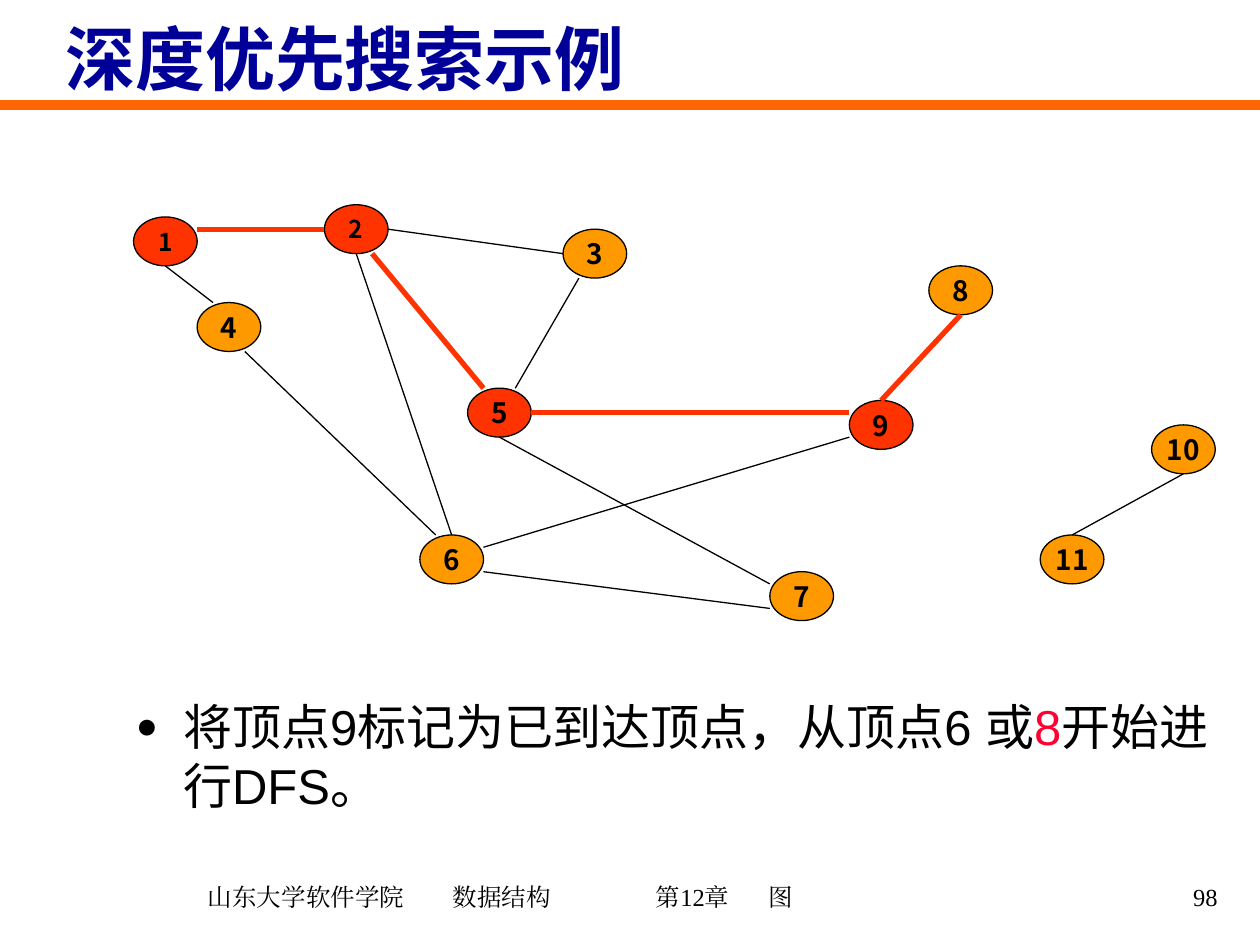
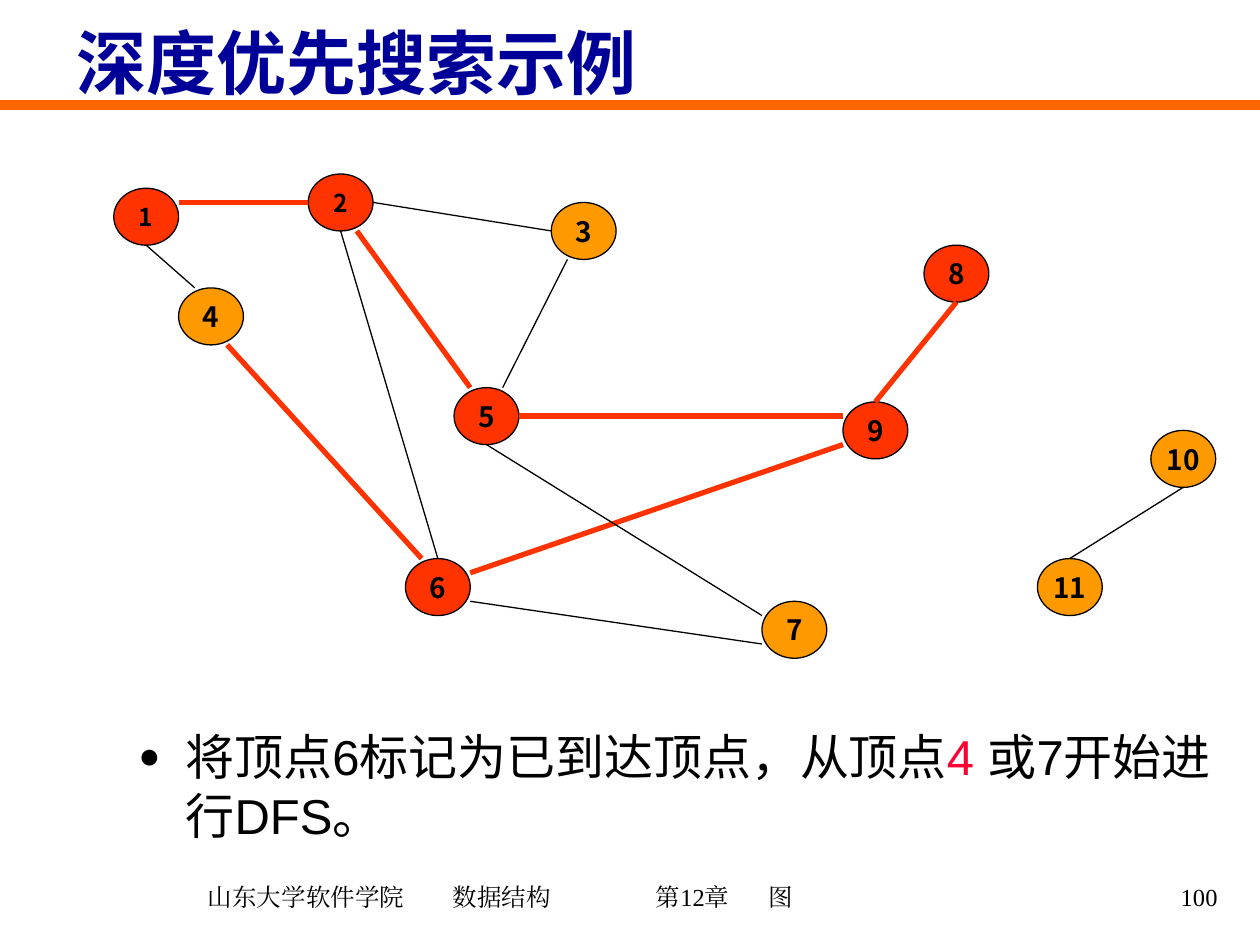
import pptx
import pptx.util
import pptx.dml.color
import pptx.enum.shapes
import pptx.enum.text
import pptx.oxml
import pptx.oxml.ns

Pt = pptx.util.Pt
ALIGN = pptx.enum.text.PP_ALIGN
ANCHOR = pptx.enum.text.MSO_ANCHOR
C = {k: pptx.dml.color.RGBColor.from_string(v) for k, v in {
    "text": "000000", "title": "000099", "band": "FF6600",
    "visited": "FF3300", "open": "FF9900", "next": "FF0033"}.items()}
NS = pptx.oxml.ns.nsdecls("a")

BULLET = ('<a:buClr %s><a:srgbClr val="000000"/></a:buClr>',
          '<a:buSzPct %s val="75000"/>', '<a:buFont %s typeface="Arial"/>',
          '<a:buChar %s char="●"/>')

NODES = {1: (0, 1), 2: (12, 0), 3: (27, 2), 4: (4, 8), 5: (21, 15), 6: (18, 27),
         7: (40, 30), 8: (50, 5), 9: (45, 16), 10: (64, 18), 11: (57, 27)}
NODE_SIZE = 4
EDGES = {(1, 2): ((4, 1), (0, 2)), (1, 4): ((2, 4), (1, 0)),
         (2, 3): ((4, 2), (0, 2)), (3, 5): ((1, 4), (3, 0)),
         (2, 5): ((3, 4), (1, 0)), (8, 9): ((2, 4), (2, 0)),
         (9, 6): ((0, 3), (4, 1)), (10, 11): ((2, 4), (2, 0)),
         (4, 6): ((3, 4), (1, 0)), (2, 6): ((2, 4), (2, 0)),
         (5, 7): ((2, 4), (0, 1)), (5, 9): ((4, 2), (0, 1)),
         (6, 7): ((4, 3), (0, 3))}
PATH = {(1, 2), (2, 5), (5, 9), (8, 9)}

SLIDES = [
    {"number": "98", "title": (30.2, 13), "body": (70.6, 394.6),
     "runs": [("将顶点9标记为已到达顶点，从顶点6 或", "text"), ("8", "next"),
              ("开始进行DFS。", "text")],
     "start": (76.3, 117), "unit": (9.09, 6.99),
     "visited": {1, 2, 5, 9}, "path": PATH},
    {"number": "100", "title": (36.7, 15.1), "body": (72, 411.8),
     "runs": [("将顶点6标记为已到达顶点，从顶点", "text"), ("4 ", "next"),
              ("或7开始进行DFS。", "text")],
     "start": (65, 99.4), "unit": (9.26, 8.14),
     "visited": {1, 2, 5, 6, 8, 9}, "path": PATH | {(9, 6), (4, 6)}},
]


def add_text(s, box, runs, size, font, bold=False, anchor=ANCHOR.TOP):
    tf = s.shapes.add_textbox(*[Pt(v) for v in box]).text_frame
    tf.word_wrap = True
    tf.vertical_anchor = anchor
    p = tf.paragraphs[0]
    for text, color in runs:
        r = p.add_run()
        r.text = text
        r.font.size = Pt(size)
        r.font.name = font
        r.font.bold = bold
        r.font.color.rgb = C[color]
        r.font._element.find(pptx.oxml.ns.qn("a:latin")).addnext(
            pptx.oxml.parse_xml(f'<a:ea {NS} typeface="{font}"/>'))
    return tf


def add_line(s, x1, y1, x2, y2, color, width):
    line = s.shapes.add_connector(pptx.enum.shapes.MSO_CONNECTOR.STRAIGHT,
                                  Pt(x1), Pt(y1), Pt(x2), Pt(y2))
    line.line.color.rgb = C[color]
    line.line.width = Pt(width)
    line._element.spPr.append(pptx.oxml.parse_xml(f"<a:effectLst {NS}/>"))


prs = pptx.Presentation()
prs.slide_width, prs.slide_height = Pt(720), Pt(540)

for d in SLIDES:
    s = prs.slides.add_slide(prs.slide_layouts[6])
    add_line(s, 0, 60, 720, 60, "band", 6)

    tf = add_text(s, (54, 494, 465, 36.7),
                  [("山东大学软件学院\t数据结构\t第12章\t图", "text")],
                  14, "Times New Roman", anchor=ANCHOR.MIDDLE)
    tf.margin_left = Pt(64.8)
    stops = "".join(f'<a:tab pos="{Pt(t)}" algn="l"/>' for t in (140, 256, 320.5))
    tf.paragraphs[0]._p.get_or_add_pPr().append(
        pptx.oxml.parse_xml(f"<a:tabLst {NS}>{stops}</a:tabLst>"))

    tf = add_text(s, (553, 494.6, 149.8, 36), [(d["number"], "text")],
                  14, "Times New Roman", anchor=ANCHOR.MIDDLE)
    tf.paragraphs[0].alignment = ALIGN.RIGHT

    tf = add_text(s, (*d["body"], 630, 100), d["runs"], 28, "Arial")
    pPr = tf.paragraphs[0]._p.get_or_add_pPr()
    pPr.set("marL", str(Pt(27)))
    pPr.set("indent", str(Pt(-27)))
    for xml in BULLET:
        pPr.append(pptx.oxml.parse_xml(xml % NS))

    x0, y0 = d["start"]
    ux, uy = d["unit"]
    for node, (col, row) in NODES.items():
        sp = s.shapes.add_shape(
            pptx.enum.shapes.MSO_SHAPE.OVAL, Pt(x0 + col * ux), Pt(y0 + row * uy),
            Pt(NODE_SIZE * ux), Pt(NODE_SIZE * uy))
        sp.shadow.inherit = False
        sp.fill.solid()
        sp.fill.fore_color.rgb = C["visited" if node in d["visited"] else "open"]
        sp.line.color.rgb = C["text"]
        sp.line.width = Pt(0.75)
        tf = sp.text_frame
        tf.word_wrap = False
        tf.vertical_anchor = ANCHOR.MIDDLE
        tf.text = str(node)
        p = tf.paragraphs[0]
        p.alignment = ALIGN.CENTER
        font = p.runs[0].font
        font.size = Pt(14 if node <= 2 else 16)
        font.name = "Noto Sans CJK KR"
        font.bold = True
        font.color.rgb = C["text"]

    for (a, b), (out, into) in EDGES.items():
        x1, y1, x2, y2 = [
            origin + (NODES[n][i] + offset[i]) * unit
            for n, offset in ((a, out), (b, into))
            for i, (origin, unit) in enumerate(((x0, ux), (y0, uy)))]
        on_path = (a, b) in d["path"]
        add_line(s, x1, y1, x2, y2, "visited" if on_path else "text",
                 3 if on_path else 0.75)

    tf = add_text(s, (*d["title"], 630, 48.2), [("深度优先搜索示例", "title")],
                  40, "Arial", True, ANCHOR.BOTTOM)
    tf.paragraphs[0].line_spacing = 0.9

prs.save("out.pptx")
